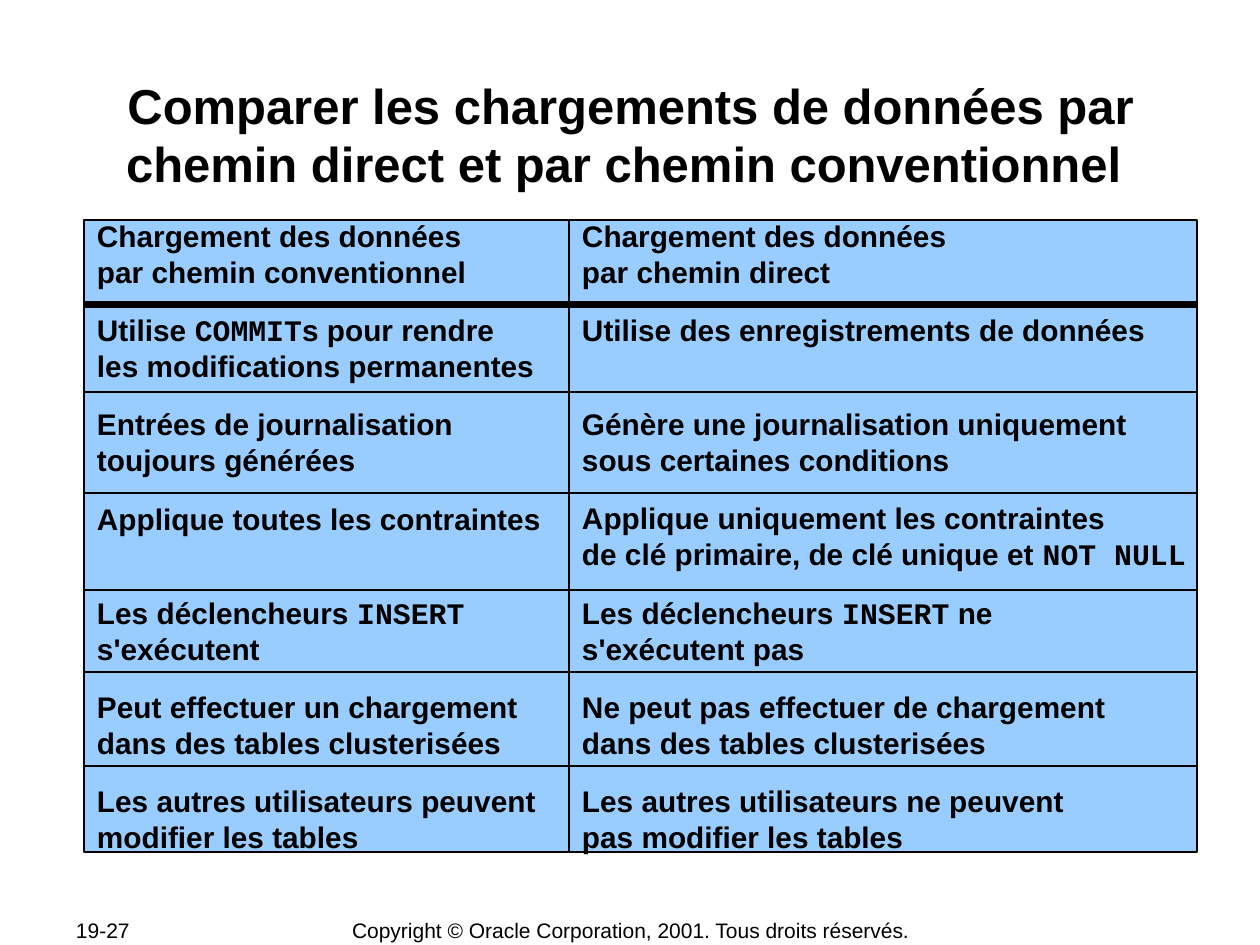
from lxml import etree
from pptx import Presentation, util as u
from pptx.dml.color import RGBColor
from pptx.enum import shapes, text
from pptx.oxml.ns import qn

PX = 914400 // 126  # one px in EMU, 126 px to the inch
PAD = 13


def rgb(value):
    return RGBColor.from_string(value)


def write(p, content, size, bold=False, align=text.PP_ALIGN.LEFT, color="000000"):
    """Fill a paragraph; newlines break lines and backticks mark code."""
    p.alignment = align
    for i, line in enumerate(content.split("\n")):
        if i:
            p.add_line_break()
        for j, part in enumerate(line.split("`")):
            if part:
                r = p.add_run()
                r.text = part
                r.font.name = "Courier New" if j % 2 else "Arial"
                r.font.size = u.Pt(size)
                r.font.bold = bold
                r.font.color.rgb = rgb(color)


prs = Presentation()
prs.slide_width, prs.slide_height = 1260 * PX, 945 * PX
s = prs.slides.add_slide(prs.slide_layouts[6])

# Footer and title
TOP, MIDDLE = text.MSO_ANCHOR.TOP, text.MSO_ANCHOR.MIDDLE
LEFT, CENTER = text.PP_ALIGN.LEFT, text.PP_ALIGN.CENTER
title = "Comparer les chargements de données par chemin direct et par chemin conventionnel "
copyright_line = "Copyright © Oracle Corporation, 2001. Tous droits réservés."
for content, box, size, bold, align, anchor, pad in [
    ("19-27", (63, 917, 134, 26), 12, False, LEFT, MIDDLE, PAD),
    (copyright_line, (348, 917, 566, 26), 12, False, CENTER, MIDDLE, 0),
    (title, (116, 74, 1029, 121), 28, True, CENTER, TOP, 1),
]:
    tf = s.shapes.add_textbox(*(v * PX for v in box)).text_frame
    tf.word_wrap = True
    tf.vertical_anchor = anchor
    tf.margin_left = tf.margin_right = pad * PX
    tf.margin_top = tf.margin_bottom = PX
    write(tf.paragraphs[0], content, size, bold, align)

# Two panels: conventional path on the left, direct path on the right
conventional = [
    "Chargement des données\npar chemin conventionnel",
    "Utilise `COMMIT`s pour rendre\nles modifications permanentes",
    "Entrées de journalisation\ntoujours générées",
    "Applique toutes les contraintes",
    "Les déclencheurs `INSERT`\ns'exécutent",
    "Peut effectuer un chargement\ndans des tables clusterisées",
    "Les autres utilisateurs peuvent\nmodifier les tables",
]
direct = [
    "Chargement des données\npar chemin direct",
    "Utilise des enregistrements de données",
    "Génère une journalisation uniquement\nsous certaines conditions",
    "Applique uniquement les contraintes\nde clé primaire, de clé unique et `NOT NULL`",
    "Les déclencheurs `INSERT` ne\ns'exécutent pas",
    "Ne peut pas effectuer de chargement\ndans des tables clusterisées",
    "Les autres utilisateurs ne peuvent\npas modifier les tables",
]
X0, X1, X2 = 84, 569, 1197
Y0, Y1 = 220, 852
LINE, GAP = 20.5, 12.8  # line height and paragraph gap, in points

for left, right, entries in [(X0, X1, conventional), (X1, X2, direct)]:
    sp = s.shapes.add_shape(shapes.MSO_SHAPE.RECTANGLE, left * PX, Y0 * PX,
                            (right - left) * PX, (Y1 - Y0) * PX)
    sp.shadow.inherit = False
    sp.fill.solid()
    sp.fill.fore_color.rgb = rgb("99CCFF")
    sp.line.color.rgb = rgb("000000")
    sp.line.width = u.Pt(1)
    tf = sp.text_frame
    tf.word_wrap = False
    tf.vertical_anchor = MIDDLE
    tf.margin_left = tf.margin_right = PAD * PX
    tf.margin_top = tf.margin_bottom = 6 * PX
    for i, entry in enumerate(entries):
        p = tf.add_paragraph() if i else tf.paragraphs[0]
        p.line_spacing = u.Pt(LINE)
        if i:
            # every entry takes two lines' height, even a one-line one
            missing = 1 - entries[i - 1].count("\n")
            p.space_before = u.Pt(GAP + missing * LINE)
        write(p, entry, 17, bold=True)

# Row rules, the first one heavy under the headings
for i, y in enumerate([305, 392, 493, 590, 672, 766]):
    rule = s.shapes.add_connector(shapes.MSO_CONNECTOR.STRAIGHT,
                                  X0 * PX, y * PX, X2 * PX, y * PX)
    rule.line.color.rgb = rgb("000000")
    rule.line.width = u.Pt(1 if i else 4)
    etree.SubElement(rule._element.spPr, qn("a:effectLst"))

prs.save("out.pptx")
